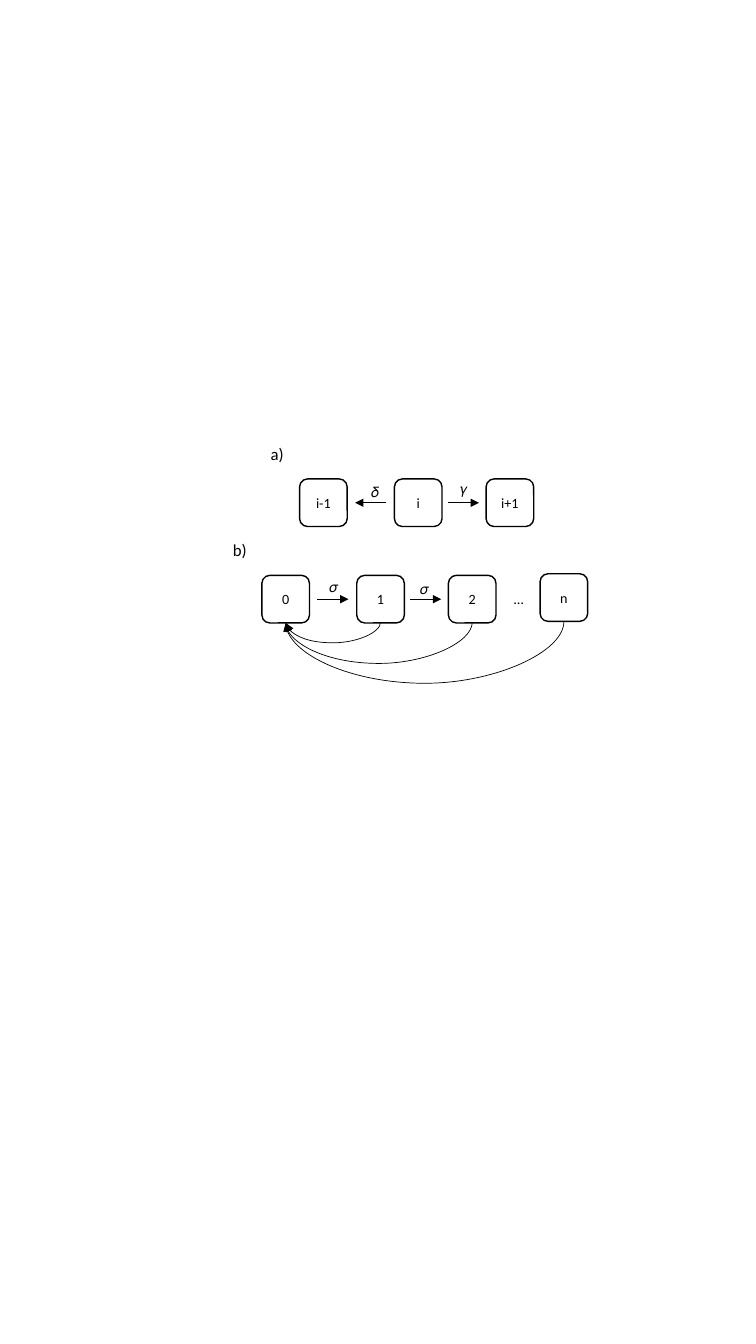
from pptx import Presentation
from pptx.dml.color import RGBColor
from pptx.enum.shapes import MSO_CONNECTOR as CONN, MSO_SHAPE as SHAPE
from pptx.enum.text import MSO_ANCHOR as ANCHOR, MSO_AUTO_SIZE as FIT, PP_ALIGN as ALIGN
from pptx.oxml.ns import qn
from pptx.util import Cm, Pt
from lxml.etree import SubElement

BLACK, WHITE = "000000", "FFFFFF"
SIDE = 1.2
COLUMNS = (0, 2.39, 4.7, 7.01)
LAST_RISE = 0.04
BOX_TEXT = {"vertical_anchor": ANCHOR.MIDDLE, "margin_left": 0, "margin_right": 0,
            "margin_top": 0, "margin_bottom": 0, "word_wrap": False}
LABEL_TEXT = {"word_wrap": False, "auto_size": FIT.SHAPE_TO_FIT_TEXT}


def rgb(color):
    """Turn a hex string into a colour."""
    return RGBColor.from_string(color)


def write(sp, text, size, align, frame):
    """Put one formatted line of text into a shape."""
    tf = sp.text_frame
    for name, value in frame.items():
        setattr(tf, name, value)
    p = tf.paragraphs[0]
    p.alignment = align
    r = p.add_run()
    r.text = text
    for name, value in {"name": "Calibri", "size": Pt(size)}.items():
        setattr(r.font, name, value)
    r.font.color.rgb = rgb(BLACK)


def label(s, text, left, top, width=0.76, height=0.69, size=10.1):
    """Add a free-standing label."""
    sp = s.shapes.add_textbox(Cm(left), Cm(top), Cm(width), Cm(height))
    write(sp, text, size, ALIGN.LEFT, LABEL_TEXT)


def state(s, text, left, top):
    """Add one rounded state box."""
    sp = s.shapes.add_shape(SHAPE.ROUNDED_RECTANGLE, Cm(left), Cm(top), Cm(SIDE), Cm(SIDE))
    sp.shadow.inherit = False
    sp.fill.solid()
    sp.fill.fore_color.rgb = rgb(WHITE)
    sp.line.color.rgb = rgb(BLACK)
    sp.line.width = Pt(1)
    write(sp, text, 10.1, ALIGN.CENTER, BOX_TEXT)


def arrow(s, kind, x1, y1, x2, y2):
    """Add a thin connector with a triangle at its end."""
    sp = s.shapes.add_connector(kind, Cm(x1), Cm(y1), Cm(x2), Cm(y2))
    sp.line.color.rgb = rgb(BLACK)
    sp.line.width = Pt(0.5)
    spPr = sp._element.spPr
    SubElement(spPr.find(qn("a:ln")), qn("a:tailEnd"), type="triangle")
    SubElement(spPr, qn("a:effectLst"))
    return sp


def return_arc(s, x1, y1, x2, y2, depth):
    """Add a curve that sags by depth below its start and runs back left."""
    drop, span = y2 - y1, x1 - x2
    left, top = (x1 + x2 - drop) / 2, (y1 + y2 - span) / 2
    sp = arrow(s, CONN.CURVE, left, top, left + drop, top + span)
    spPr = sp._element.spPr
    spPr.find(qn("a:xfrm")).set("rot", "5400000")
    geom = spPr.find(qn("a:prstGeom"))
    guides = geom.find(qn("a:avLst"))
    if guides is None:
        guides = SubElement(geom, qn("a:avLst"))
    SubElement(guides, qn("a:gd"), name="adj1", fmla=f"val {round(depth / drop * 100000)}")


def chain(s, left, top, title, names, steps):
    """Add a titled row of states joined by arrows with rate symbols."""
    label(s, title, left - 0.98, top - 1.02, 0.85, 0.77, 12)
    for name, column in zip(names, COLUMNS):
        state(s, name, left + column, top - LAST_RISE * (name == "n"))
    for i, (symbol, dx, dy, backward) in enumerate(steps):
        ends = [left + 1.4 + 2.34 * i, left + 2.18 + 2.34 * i]
        x1, x2 = reversed(ends) if backward else ends
        arrow(s, CONN.STRAIGHT, x1, top + SIDE / 2, x2, top + SIDE / 2)
        label(s, symbol, ends[0] + dx, top + dy)


def neighbours(s, left, top):
    """Draw panel a: moves from one state to its neighbours."""
    chain(s, left, top, "a)", ("i-1", "i", "i+1"),
          (("𝛿", 0.16, -0.01, True), ("𝛾", 0.06, -0.08, False)))


def resets(s, left, top):
    """Draw panel b: steps upwards and returns to the first state."""
    chain(s, left, top, "b)", ("0", "1", "2", "n"),
          (("𝜎", 0.05, -0.04, False), ("𝜎", 0, 0, False)))
    label(s, "…", left + 6.1, top + 0.25)
    home, base = left + SIDE / 2, top + SIDE
    for i, column in enumerate(COLUMNS[1:], 1):
        rise = LAST_RISE if column == COLUMNS[-1] else 0.02
        return_arc(s, home + column, base - rise, home, base, 0.52 * i)


def main():
    """Build the slide and save it."""
    prs = Presentation()
    prs.slide_width, prs.slide_height = Cm(19.05), Cm(33.87)
    s = prs.slides.add_slide(prs.slide_layouts[6])
    neighbours(s, 7.55, 12.07)
    resets(s, 6.6, 14.5)
    prs.save("out.pptx")


if __name__ == "__main__":
    main()
